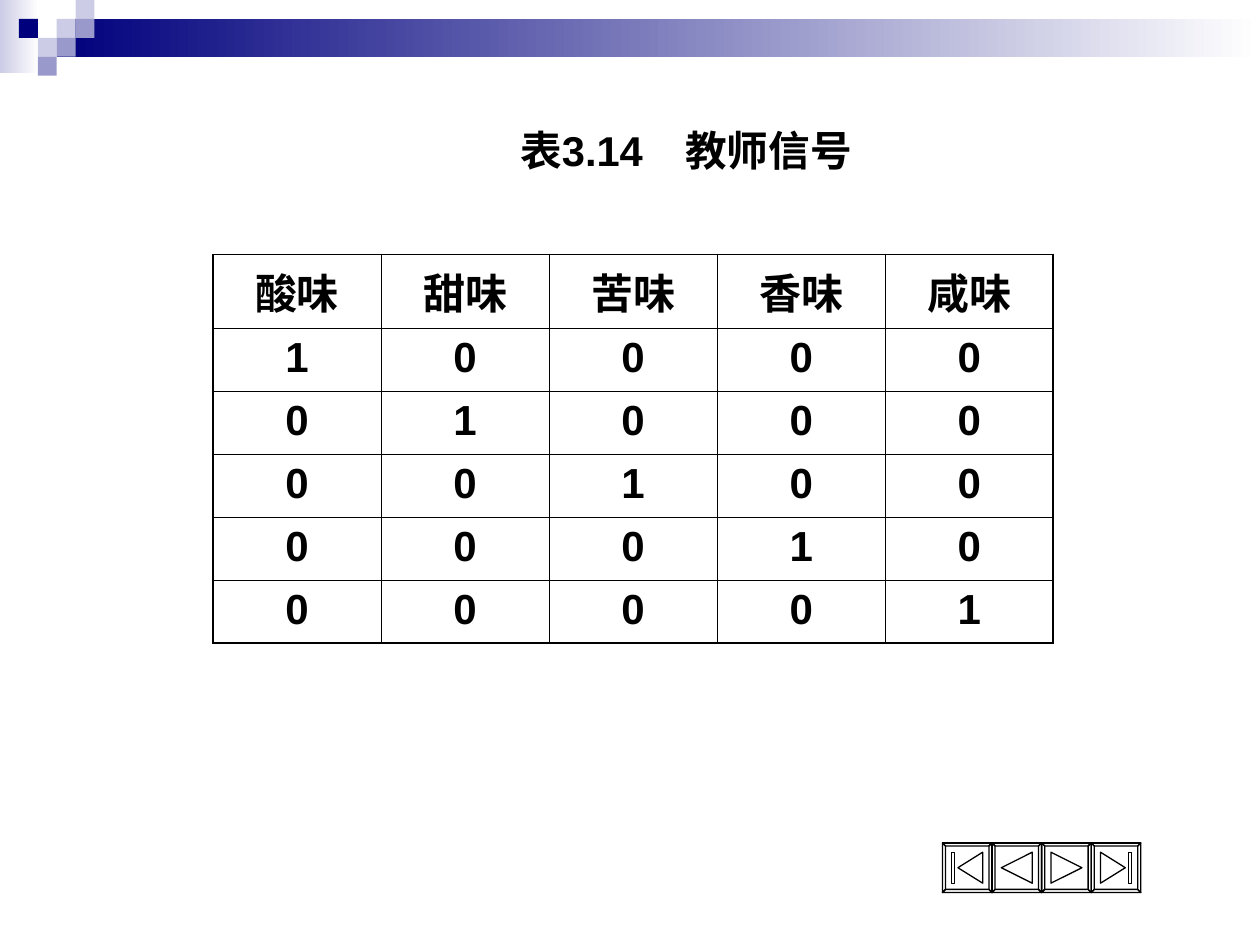
from lxml import etree
from pptx import Presentation
from pptx.dml.color import RGBColor
from pptx.enum.shapes import MSO_SHAPE
from pptx.enum.text import MSO_ANCHOR, PP_ALIGN
from pptx.oxml.ns import qn
from pptx.util import Cm, Inches, Pt

RECT = MSO_SHAPE.RECTANGLE
LEFT, CENTER = PP_ALIGN.LEFT, PP_ALIGN.CENTER
TOP = MSO_ANCHOR.TOP

BLACK, WHITE = "000000", "FFFFFF"
NAVY, MID, PALE = "00007D", "9999CC", "CCCCE6"
FONT = "Arial"

STEP = 0.15  # side of a header square, inches
SIDE = Cm(1)  # side of a button
UNITS = 16  # drawing units along a button side

SQUARES = [  # column, row, colour
    (3, 1, PALE), (4, 0, PALE), (4, 1, MID), (2, 2, PALE),
    (1, 1, NAVY), (3, 2, MID), (2, 3, MID),
]
TASTES = ["酸味", "甜味", "苦味", "香味", "咸味"]
ICONS = [  # first, back, next, last
    [[(5, 8), (13, 3), (13, 13)], [(3, 3), (4, 3), (4, 13), (3, 13)]],
    [[(3, 8), (13, 3), (13, 13)]],
    [[(3, 3), (13, 8), (3, 13)]],
    [[(11, 8), (3, 13), (3, 3)], [(12, 3), (12, 13), (13, 13), (13, 3)]],
]


def color(code):
    return RGBColor.from_string(code)


def style(par, size, align):
    par.alignment = align
    par.space_before = Pt(0)
    for run in par.runs:
        font = run.font
        font.name, font.size, font.bold = FONT, Pt(size), True
        font.color.rgb = color(BLACK)


def add_rect(slide, x, y, w, h, *codes):
    """Borderless rectangle; two colours make a left-to-right gradient."""
    box = slide.shapes.add_shape(RECT, Inches(x), Inches(y), Inches(w), Inches(h))
    box.shadow.inherit = False
    box.line.fill.background()
    if len(codes) == 1:
        box.fill.solid()
        box.fill.fore_color.rgb = color(codes[0])
        return
    box.fill.gradient()
    box.fill.gradient_angle = 0
    for stop, code in zip(box.fill.gradient_stops, codes):
        stop.color.rgb = color(code)


def add_header(slide):
    add_rect(slide, 0, 0, 0.31, 0.58, PALE, WHITE)
    add_rect(slide, 3 * STEP, STEP, 10 - 3 * STEP, 2 * STEP, NAVY, WHITE)
    for col, row, code in SQUARES:
        add_rect(slide, col * STEP, row * STEP, STEP, STEP, code)


def set_title(slide):
    title = slide.shapes.title
    title.left, title.top = Inches(0.67), Inches(0.99)
    title.width, title.height = Inches(8.5), Inches(0.5)
    frame = title.text_frame
    frame.text = "表3.14\t教师信号"
    frame.vertical_anchor = TOP
    frame.margin_left = Inches(3.46)
    frame.margin_top = frame.margin_bottom = 0
    # Tab stop between number and caption
    par = frame.paragraphs[0]
    props = par._p.get_or_add_pPr()
    tabs = etree.SubElement(props, qn("a:tabLst"))
    etree.SubElement(tabs, qn("a:tab"), pos=str(Inches(1.31)), algn="l")
    style(par, 23.8, LEFT)


def set_edges(cell, widths):
    props = cell._tc.get_or_add_tcPr()
    for spot, (side, width) in enumerate(zip("LRTB", widths)):
        line = etree.Element(qn("a:ln" + side), w=str(Pt(width)))
        fill = etree.SubElement(line, qn("a:solidFill"))
        etree.SubElement(fill, qn("a:srgbClr"), val=BLACK)
        props.insert(spot, line)


def add_table(slide):
    size = len(TASTES)
    rows = [TASTES] + [
        [str(int(r == c)) for c in range(size)] for r in range(size)
    ]
    table = slide.shapes.add_table(
        len(rows), size, Inches(1.69), Inches(2.02), Inches(6.67), Inches(3.08)
    ).table
    table.first_row = table.horz_banding = False
    for r, row in enumerate(rows):
        table.rows[r].height = Inches(0.5 if r else 0.58)
        for c, text in enumerate(row):
            cell = table.cell(r, c)
            cell.text = text
            style(cell.text_frame.paragraphs[0], 24, CENTER)
            cell.fill.background()
            outer = (c == 0, c == size - 1, r == 0, r == len(rows) - 1)
            set_edges(cell, [1.08 if edge else 0.45 for edge in outer])


def add_button(slide, x, y, icon):
    far, rim = UNITS, UNITS - 1
    outer = [(0, 0), (far, 0), (far, far), (0, far)]
    inner = [(1, 1), (rim, 1), (rim, rim), (1, rim)]
    bevels = [
        [outer[i], outer[i - 3], inner[i - 3], inner[i]] for i in range(4)
    ]
    pen = slide.shapes.build_freeform(0, 0, scale=SIDE / UNITS)
    pen.add_line_segments(outer[1:], close=True)
    for path in bevels + icon:
        pen.move_to(*path[0])
        pen.add_line_segments(path[1:], close=True)
    shape = pen.convert_to_shape(x, y)
    shape.shadow.inherit = False
    shape.fill.solid()
    shape.fill.fore_color.rgb = color(WHITE)
    shape.line.color.rgb = color(BLACK)
    shape.line.width = Pt(0.75)


def main():
    deck = Presentation()
    deck.slide_width, deck.slide_height = Inches(10), Inches(7.5)
    slide = deck.slides.add_slide(deck.slide_layouts[5])
    add_header(slide)
    # Navigation buttons, side by side
    for i, icon in enumerate(ICONS):
        add_button(slide, Inches(7.48) + i * SIDE, Inches(6.69), icon)
    set_title(slide)
    add_table(slide)
    deck.save("out.pptx")


if __name__ == "__main__":
    main()
